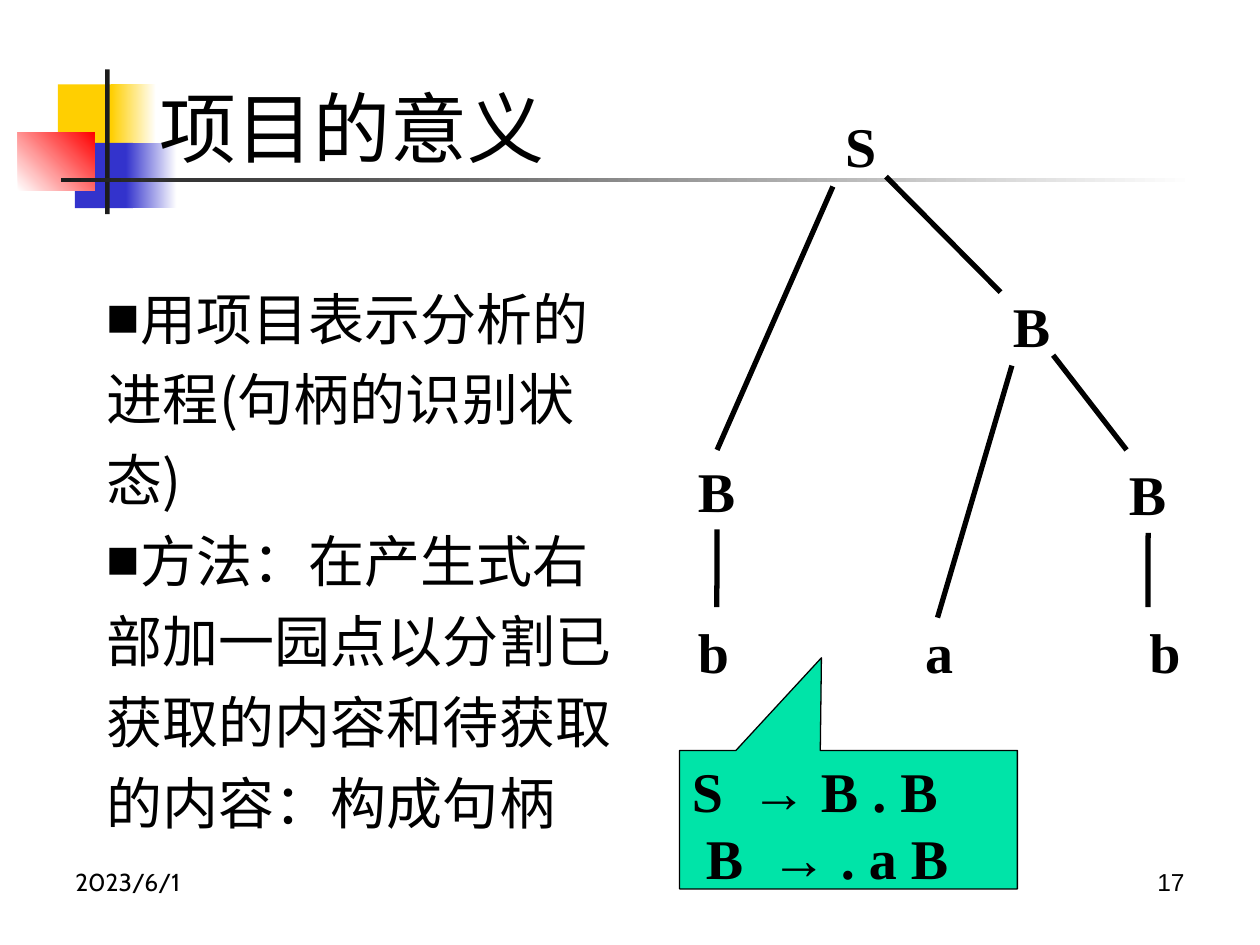
"""Build the slide on what LR items mean, with a parse tree and a callout."""
from lxml import etree
from pptx import Presentation, util as u
from pptx.dml.color import RGBColor
from pptx.enum import shapes, text
from pptx.oxml.ns import qn

COLORS = {
    "yellow": "FFCF01", "blue": "3333CC", "red": "FF0000", "white": "FFFFFF",
    "dark": "1C1C1C", "black": "000000", "green": "00E4A8",
}
SERIF, CJK = "Times New Roman", "Noto Sans CJK SC"
LEFT, RIGHT = text.PP_ALIGN.LEFT, text.PP_ALIGN.RIGHT
TOP, BOTTOM = 0, 2


def color(name):
    return RGBColor.from_string(COLORS[name])


def child(parent, tag, **attributes):
    return etree.SubElement(parent, qn(tag), attributes)


class SlideWriter:
    def __init__(self, deck):
        self.slide = deck.slides.add_slide(deck.slide_layouts[1])
        self.shapes = self.slide.shapes

    def run(self, paragraph, words, size=32, font=SERIF, bold=True):
        run = paragraph.add_run()
        run.text = words
        run.font.size, run.font.name, run.font.bold = u.Pt(size), font, bold
        run.font.color.rgb = color("black")
        child(run.font._element, "a:ea", typeface=CJK)

    def band(self, box, start, end=None, angle=0):
        band = self.shapes.add_shape(shapes.MSO_SHAPE.RECTANGLE, *map(u.Cm, box))
        band.shadow.inherit = False
        band.line.fill.background()
        if end is None:
            band.fill.solid()
            band.fill.fore_color.rgb = color(start)
            return
        band.fill.gradient()
        band.fill.gradient_angle = angle
        for stop, name in zip(band.fill.gradient_stops, (start, end)):
            stop.color.rgb = color(name)

    def placeholder(self, index, box, anchor):
        holder = self.slide.placeholders[index]
        holder._element.getparent().append(holder._element)
        holder.left, holder.top, holder.width, holder.height = map(u.Cm, box)
        frame = holder.text_frame
        frame.auto_size = text.MSO_AUTO_SIZE.NONE
        frame.vertical_anchor = anchor
        return frame

    def title(self, words, box):
        paragraph = self.placeholder(0, box, text.MSO_ANCHOR.MIDDLE).paragraphs[0]
        paragraph.alignment = LEFT
        self.run(paragraph, words, 44, bold=False)

    def bullets(self, items, box):
        frame = self.placeholder(1, box, text.MSO_ANCHOR.TOP)
        for number, words in enumerate(items):
            paragraph = frame.add_paragraph() if number else frame.paragraphs[0]
            paragraph.line_spacing, paragraph.space_before = 1.2, u.Pt(0)
            properties = paragraph._p.get_or_add_pPr()
            properties.set("marL", "0")
            properties.set("indent", "0")
            child(child(properties, "a:buClr"), "a:srgbClr", val=COLORS["black"])
            child(properties, "a:buSzPct", val="60000")
            child(properties, "a:buFont", typeface=CJK)
            child(properties, "a:buChar", char="■")
            self.run(paragraph, words, font=CJK, bold=False)

    def label(self, words, box, align=LEFT, wrap=True, **style):
        label = self.shapes.add_textbox(*map(u.Cm, box))
        label.text_frame.word_wrap = wrap
        paragraph = label.text_frame.paragraphs[0]
        paragraph.alignment = align
        self.run(paragraph, words, **style)
        return label

    def node(self, symbol, left, top):
        width = 1.27 if symbol == "B" else 1.14
        return self.label(symbol, (left, top, width, 1.6), wrap=False)

    def branch(self, start, end, parent=None, child_node=None):
        branch = self.shapes.add_connector(
            shapes.MSO_CONNECTOR.STRAIGHT, *map(u.Cm, start + end))
        branch.line.color.rgb = color("black")
        branch.line.width = u.Pt(3)
        child(branch._element.spPr, "a:effectLst")
        if parent is not None:
            branch.begin_connect(parent, BOTTOM)
        if child_node is not None:
            branch.end_connect(child_node, TOP)

    def callout(self, productions, box, tip):
        callout = self.shapes.add_shape(
            shapes.MSO_SHAPE.RECTANGULAR_CALLOUT, *map(u.Cm, box))
        callout.shadow.inherit = False
        callout.adjustments[0], callout.adjustments[1] = tip
        callout.fill.solid()
        callout.fill.fore_color.rgb = color("green")
        callout.line.color.rgb = color("black")
        callout.line.width = u.Pt(0.75)
        frame = callout.text_frame
        frame.vertical_anchor = text.MSO_ANCHOR.TOP
        for number, (words, tab) in enumerate(productions):
            paragraph = frame.add_paragraph() if number else frame.paragraphs[0]
            paragraph.alignment = LEFT
            stops = child(paragraph._p.get_or_add_pPr(), "a:tabLst")
            child(stops, "a:tab", pos=str(u.Cm(tab)), algn="l")
            self.run(paragraph, words)


def main():
    deck = Presentation()
    deck.slide_width, deck.slide_height = u.Cm(25.4), u.Cm(19.05)
    writer = SlideWriter(deck)

    writer.band((1.17, 1.7, 1.22, 1.32), "yellow")
    writer.band((2.24, 1.7, 0.91, 1.32), "yellow", "white")
    writer.band((1.51, 2.88, 1.17, 1.32), "blue")
    writer.band((2.54, 2.88, 1.02, 1.32), "blue", "white")
    writer.band((0.36, 2.67, 1.55, 1.17), "white", "red", 45)
    writer.band((2.12, 1.4, 0.09, 2.92), "dark")
    writer.band((1.23, 3.59, 22.86, 0.09), "dark", "white")

    writer.label("2023/6/1", (1.27, 17.35, 5.92, 1.32), size=14, font="Cabin", bold=False)
    writer.label("17", (18.21, 17.35, 5.92, 1.32), RIGHT, size=14, font="Arial", bold=False)
    writer.title("项目的意义", (2.97, 0.97, 8.69, 3.18))
    writer.bullets(
        ["用项目表示分析的进程(句柄的识别状态)",
         "方法：在产生式右部加一园点以分割已获取的内容和待获取的内容：构成句柄"],
        (1.9, 5.33, 10.97, 11.38))

    for leaf, left in (("b", 13.82), ("a", 18.4), ("b", 22.92)):
        writer.node(leaf, left, 12.32)
    left_b = writer.node("B", 13.82, 9.07)
    right_b = writer.node("B", 22.51, 9.14)
    writer.node("B", 20.17, 5.75)
    writer.node("S", 16.79, 2.13)

    writer.branch((14.45, 10.74), (14.45, 12.24), parent=left_b)
    writer.branch((23.14, 10.74), (23.14, 12.24), parent=right_b)
    writer.branch((16.79, 3.76), (14.45, 9.07), child_node=left_b)
    writer.branch((20.4, 7.37), (18.9, 12.45))
    writer.branch((21.23, 7.16), (22.71, 9.07))
    writer.branch((17.86, 3.56), (20.17, 5.89))

    writer.callout([("S\t→ B . B", 1.19), (" B\t→ . a B", 1.59)],
                   (13.7, 15.13, 6.81, 2.79), (-0.08, -1.17))
    deck.save("out.pptx")


if __name__ == "__main__":
    main()
